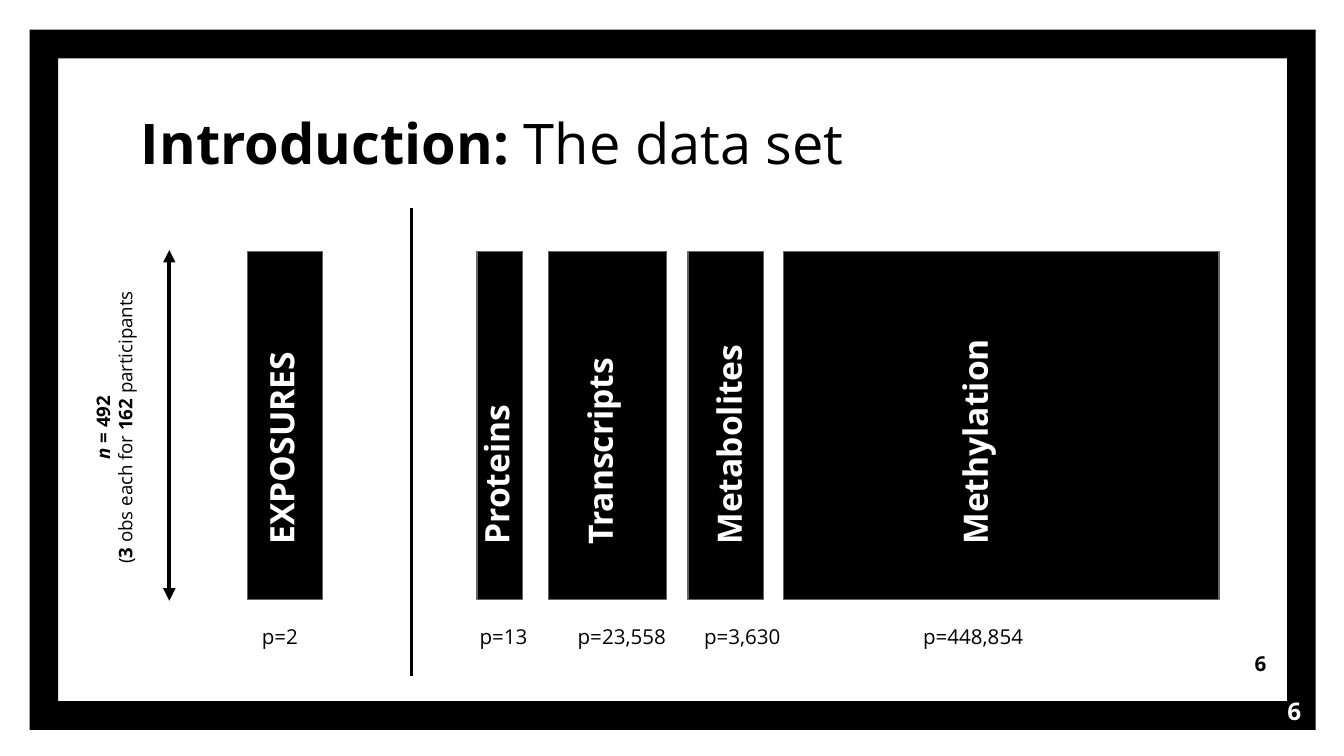
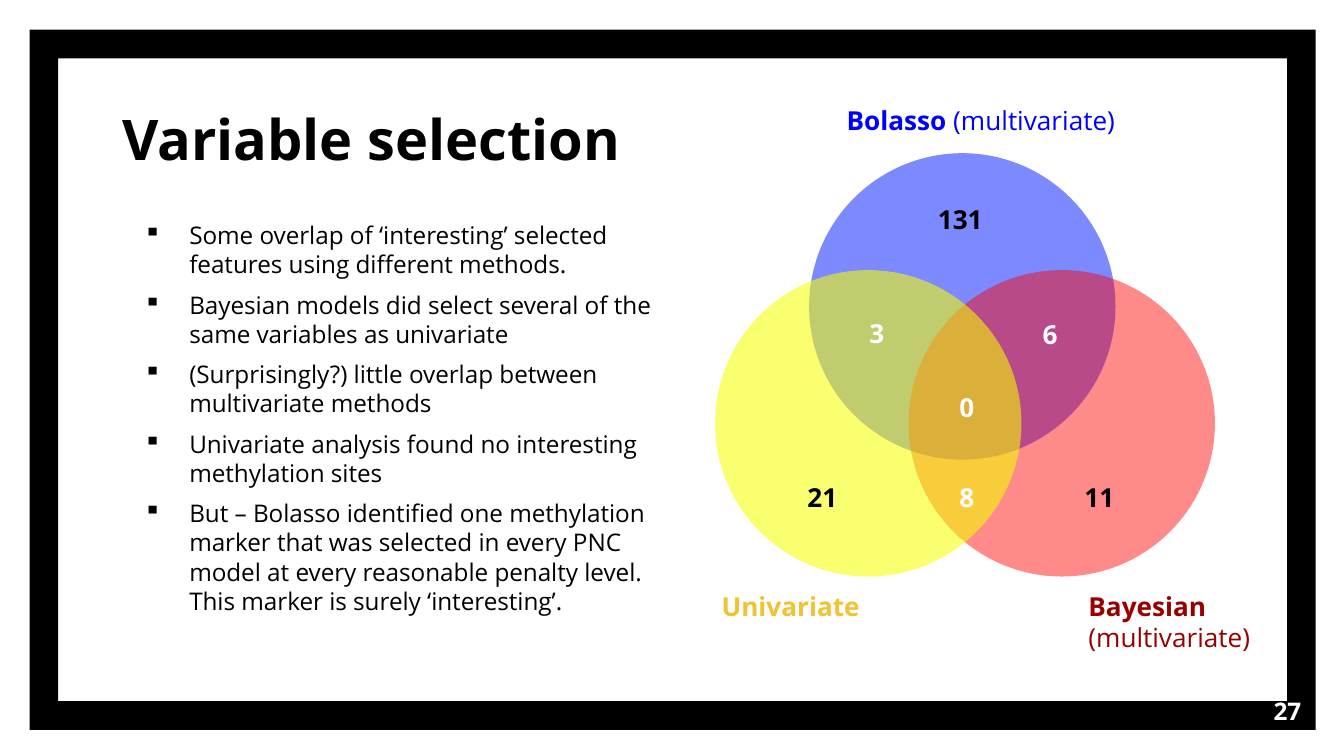
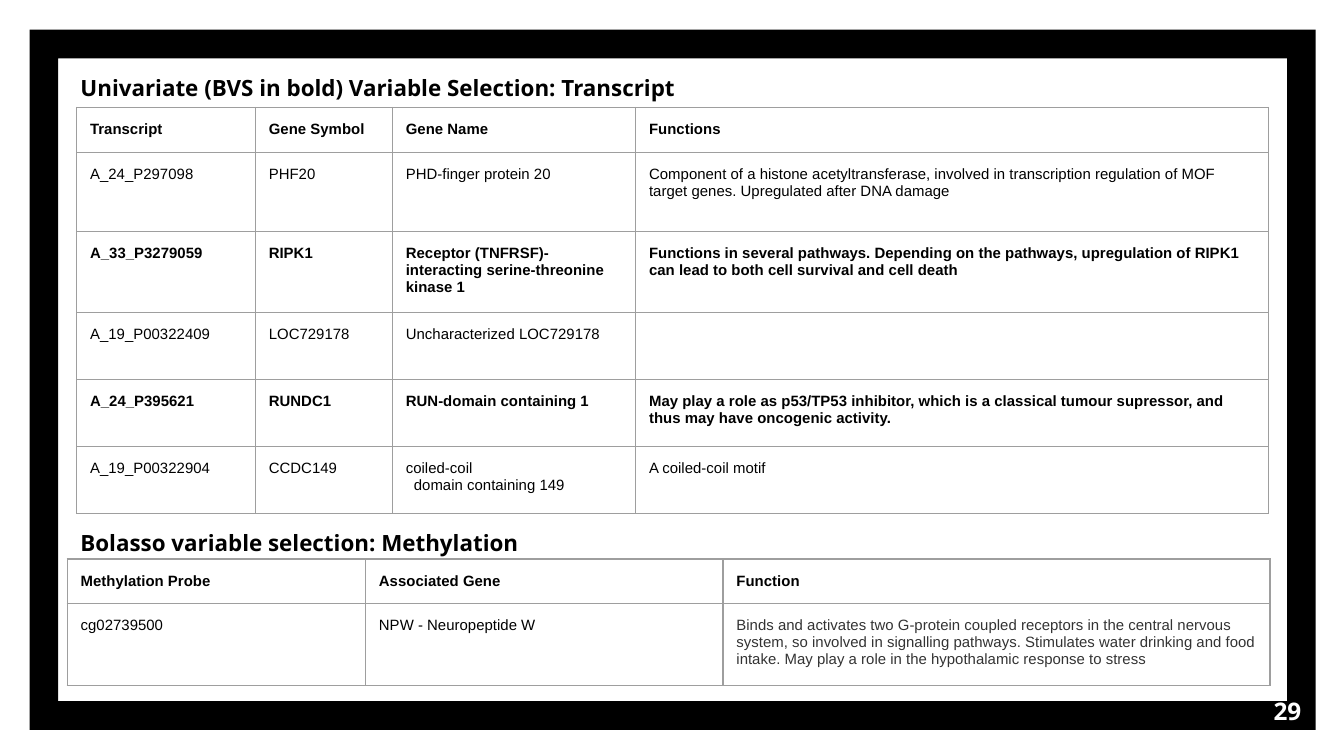
from collections import namedtuple

from lxml.etree import SubElement as Sub
from pptx import Presentation
from pptx.dml.color import RGBColor as Rgb
from pptx.enum.shapes import MSO_CONNECTOR as Link, MSO_SHAPE as Form
from pptx.enum.text import MSO_ANCHOR as Anchor, PP_ALIGN as Align
from pptx.oxml.ns import qn
from pptx.util import Inches, Pt

COLORS = {
    "black": "000000", "white": "FFFFFF", "outline": "666666", "grid": "9E9E9E",
    "soft": "333333", "blue": "041DFF", "red": "FF0000", "yellow": "F5FF00",
    "bolasso": "0000FF", "bayesian": "980000", "univariate": "F1C232",
}
COLUMNS, ROWS = 100, 56.25
WIDTH, HEIGHT = Inches(10), Inches(5.625)
INSET = Inches(0.1)

Block = namedtuple("Block", "name left width label_left label_depth label_length size size_left size_width")

BLOCKS = [
    Block("EXPOSURES", 18.4, 5.6, 18.4, 6.4, 19.4, "p=2", 18.5, 7),
    Block("Proteins", 35.5, 3.4, 34.4, 4.8, 19.4, "p=13", 34.7, 7.6),
    Block("Transcripts", 40.8, 8.8, 42.1, 6.4, 19.4, "p=23,558", 42, 9.3),
    Block("Metabolites", 51.2, 5.6, 51.7, 6.4, 21.8, "p=3,630", 51.4, 9.3),
    Block("Methylation", 58.3, 32.4, 70, 2.5, 19.4, "p=448,854", 67.7, 10.6),
]

FINDINGS = [
    "Some overlap of ‘interesting’ selected features using different methods.",
    "Bayesian models did select several of the same variables as univariate",
    "(Surprisingly?) little overlap between multivariate methods",
    "Univariate analysis found no interesting methylation sites",
    "But – Bolasso identified one methylation marker that was selected in every PNC model "
    "at every reasonable penalty level. This marker is surely ‘interesting’.",
]

TRANSCRIPTS = [
    ["Transcript", "Gene Symbol", "Gene Name", "Functions"],
    ["A_24_P297098", "PHF20", "PHD-finger protein 20",
     "Component of a histone acetyltransferase, involved in transcription regulation of MOF "
     "target genes. Upregulated after DNA damage"],
    ["A_33_P3279059", "RIPK1", "Receptor (TNFRSF)-interacting serine-threonine kinase 1",
     "Functions in several pathways. Depending on the pathways, upregulation of RIPK1 can lead "
     "to both cell survival and cell death"],
    ["A_19_P00322409", "LOC729178", "Uncharacterized LOC729178", ""],
    ["A_24_P395621", "RUNDC1", "RUN-domain containing 1",
     "May play a role as p53/TP53 inhibitor, which is a classical tumour supressor, and thus "
     "may have oncogenic activity."],
    ["A_19_P00322904", "CCDC149", ["coiled-coil", "domain containing 149"], "A coiled-coil motif"],
]

METHYLATION = [
    ["Methylation Probe", "Associated Gene", "Function"],
    ["cg02739500", "NPW - Neuropeptide W",
     "Binds and activates two G-protein coupled receptors in the central nervous system, so "
     "involved in signalling pathways. Stimulates water drinking and food intake. May play a "
     "role in the hypothalamic response to stress"],
]


def x(columns):
    return int(WIDTH * columns / COLUMNS)


def y(rows):
    return int(HEIGHT * rows / ROWS)


def write(frame, text, size=11, color="black", font="Open Sans", bold=False,
          align=Align.LEFT, bullet=None, before=0, hang=0):
    paragraphs = text if isinstance(text, list) else [text]
    for number, content in enumerate(paragraphs):
        paragraph = frame.add_paragraph() if number else frame.paragraphs[0]
        paragraph.alignment = align
        properties = paragraph._p.get_or_add_pPr()
        if bullet:
            properties.set("marL", str(Inches(0.5)))
            properties.set("indent", str(Inches(-0.34)))
            Sub(Sub(properties, qn("a:buClr")), qn("a:srgbClr")).set("val", COLORS[color])
            Sub(properties, qn("a:buChar")).set("char", bullet)
        if number:
            paragraph.space_before = Pt(before)
            if hang:
                properties.set("marL", str(Inches(hang)))
        for piece in content if isinstance(content, tuple) else (content,):
            words, look = piece if isinstance(piece, tuple) else (piece, "b" if bold else "")
            if words == "\n":
                paragraph.add_line_break()
                continue
            run = paragraph.add_run()
            run.text = words
            run.font.name, run.font.size = font, Pt(size)
            run.font.bold, run.font.italic = "b" in look, "i" in look
            run.font.color.rgb = Rgb.from_string(COLORS[color])


class Deck:
    def __init__(self):
        self.show = Presentation()
        self.show.slide_width, self.show.slide_height = WIDTH, HEIGHT
        self.slide = None

    def page(self, number):
        self.slide = self.show.slides.add_slide(self.show.slide_layouts[6])
        border = self.shape(Form.FRAME, 2.2, 2.2, 95.7, 52.1, "black")
        border.adjustments[0] = 0.041
        self.text(number, 91.8, 50.8, 6, 4.3, size=13, color="white", bold=True, align=Align.RIGHT)

    def shape(self, form, left, top, width, height, fill, line=None, opacity=None):
        item = self.slide.shapes.add_shape(form, x(left), y(top), x(width), y(height))
        item.shadow.inherit = False
        item.fill.solid()
        item.fill.fore_color.rgb = Rgb.from_string(COLORS[fill])
        if opacity:
            tint = item._element.spPr.find(qn("a:solidFill")).find(qn("a:srgbClr"))
            Sub(tint, qn("a:alpha")).set("val", str(opacity * 1000))
        if line:
            item.line.color.rgb = Rgb.from_string(COLORS[line])
            item.line.width = Pt(0.75)
        else:
            item.line.fill.background()
        return item

    def text(self, text, left, top, width, height, turn=0, anchor=Anchor.TOP, **style):
        box = self.slide.shapes.add_textbox(x(left), y(top), x(width), y(height))
        box.rotation = turn
        frame = box.text_frame
        frame.word_wrap = True
        frame.vertical_anchor = anchor
        frame.margin_left = frame.margin_right = frame.margin_top = frame.margin_bottom = INSET
        write(frame, text, **style)

    def upright(self, text, left, bottom, depth, length, **style):
        self.text(text, left + (depth - length) / 2, bottom - (length + depth) / 2,
                  length, depth, turn=270, **style)

    def vertical(self, column, start, end, weight, arrows=False):
        rule = self.slide.shapes.add_connector(Link.STRAIGHT, x(column), y(start), x(column), y(end))
        rule.line.color.rgb = Rgb.from_string(COLORS["black"])
        rule.line.width = Pt(weight)
        if arrows:
            for tip in ("a:headEnd", "a:tailEnd"):
                Sub(rule.line._get_or_add_ln(), qn(tip)).set("type", "triangle")
        Sub(rule._element.spPr, qn("a:effectLst"))

    def table(self, records, left, top, widths, heights, bold_rows, soft=None):
        grid = self.slide.shapes.add_table(len(heights), len(widths), x(left), y(top),
                                           x(sum(widths)), y(sum(heights))).table
        grid.first_row = grid.horz_banding = False
        for column, width in zip(grid.columns, widths):
            column.width = x(width)
        for r, (record, height) in enumerate(zip(records, heights)):
            grid.rows[r].height = y(height)
            for c, content in enumerate(record):
                cell = grid.cell(r, c)
                cell.margin_left = cell.margin_right = cell.margin_top = cell.margin_bottom = INSET
                self.edges(cell)
                cell.fill.background()
                write(cell.text_frame, content, size=8, font="Arial", bold=r in bold_rows,
                      color="soft" if (r, c) == soft else "black", hang=0.06)

    def edges(self, cell):
        properties = cell._tc.get_or_add_tcPr()
        for side in ("a:lnL", "a:lnR", "a:lnT", "a:lnB"):
            edge = Sub(properties, qn(side))
            edge.set("w", str(Pt(0.75)))
            Sub(Sub(edge, qn("a:solidFill")), qn("a:srgbClr")).set("val", COLORS["grid"])


def data_set(deck):
    deck.page("6")
    deck.text((("Introduction: ", "b"), "The data set"), 9.5, 7.1, 81.2, 7.7, size=30)
    deck.text("6", 89.2, 47.2, 6, 4.3, anchor=Anchor.MIDDLE, bold=True, align=Align.RIGHT)
    for block in BLOCKS:
        deck.shape(Form.RECTANGLE, block.left, 18.7, block.width, 25.9, "black", line="outline")
        deck.upright(block.name, block.label_left, 41.5, block.label_depth, block.label_length,
                     size=18, color="white", bold=True)
        deck.text(block.size, block.size_left, 45.5, block.size_width, 2.9)
    deck.vertical(30.6, 15.5, 50.3, 1.5)
    deck.vertical(12.6, 44.7, 18.6, 2.25, arrows=True)
    sample = (("n", "bi"), (" = 492", "b"), "\n", "(", ("3", "b"), " obs each for ",
              ("162", "b"), " participants")
    deck.upright(sample, 5.8, 43.9, 5.6, 24.2, size=10, align=Align.CENTER)


def variable_selection(deck):
    deck.page("27")
    for left, top, fill, opacity in ((60.2, 11.4, "blue", 52), (67.6, 20.1, "red", 46),
                                     (53.2, 20.1, "yellow", 57)):
        deck.shape(Form.OVAL, left, top, 22.8, 22.8, fill, opacity=opacity)
    for count, left, top, width, color in (
            ("0", 70.4, 28.1, 4.7, "white"), ("3", 63.7, 22.6, 4.7, "white"),
            ("6", 76.6, 22.7, 4.7, "white"), ("8", 70.4, 34.8, 4.7, "white"),
            ("131", 68.8, 14.1, 7.1, "black"), ("11", 79.7, 34.8, 4.7, "black"),
            ("21", 59.1, 34.8, 4.7, "black")):
        deck.text(count, left, top, width, 4, size=14, color=color, bold=True)
    for method, kind, left, top, width in (("Bolasso", " (multivariate)", 62, 6.8, 25.2),
                                           ("Bayesian", " (multivariate)", 80, 42.9, 14.8),
                                           ("Univariate", "", 52.7, 42.9, 14.8)):
        label = ((method, "b"), kind) if kind else ((method, "b"),)
        deck.text(label, left, top, width, 4.5, size=14, color=method.lower())
    deck.text("Variable selection", 8.1, 6.8, 42.5, 10.7, size=30, bold=True)
    deck.text(FINDINGS, 8.1, 15.4, 42.1, 32.5, size=13, bullet="▪", before=6)


def selected_markers(deck):
    deck.page("29")
    deck.table(METHYLATION, 5, 41.6, [22.2, 26.6, 40.7], [3.3, 6.1], {0}, soft=(1, 2))
    deck.table(TRANSCRIPTS, 5.7, 8, [13.3, 10.2, 18.1, 47.1], [3.2, 5.9, 5.7, 5, 5, 5], {0, 2, 4})
    deck.text("Bolasso variable selection: Methylation", 5, 38.4, 35, 3.5, size=12, bold=True)
    deck.text("Univariate (BVS in bold) Variable Selection: Transcript", 5, 4.5, 47.1, 3.5,
              size=12, bold=True)


def main():
    deck = Deck()
    for build in (data_set, variable_selection, selected_markers):
        build(deck)
    deck.show.save("out.pptx")


if __name__ == "__main__":
    main()
